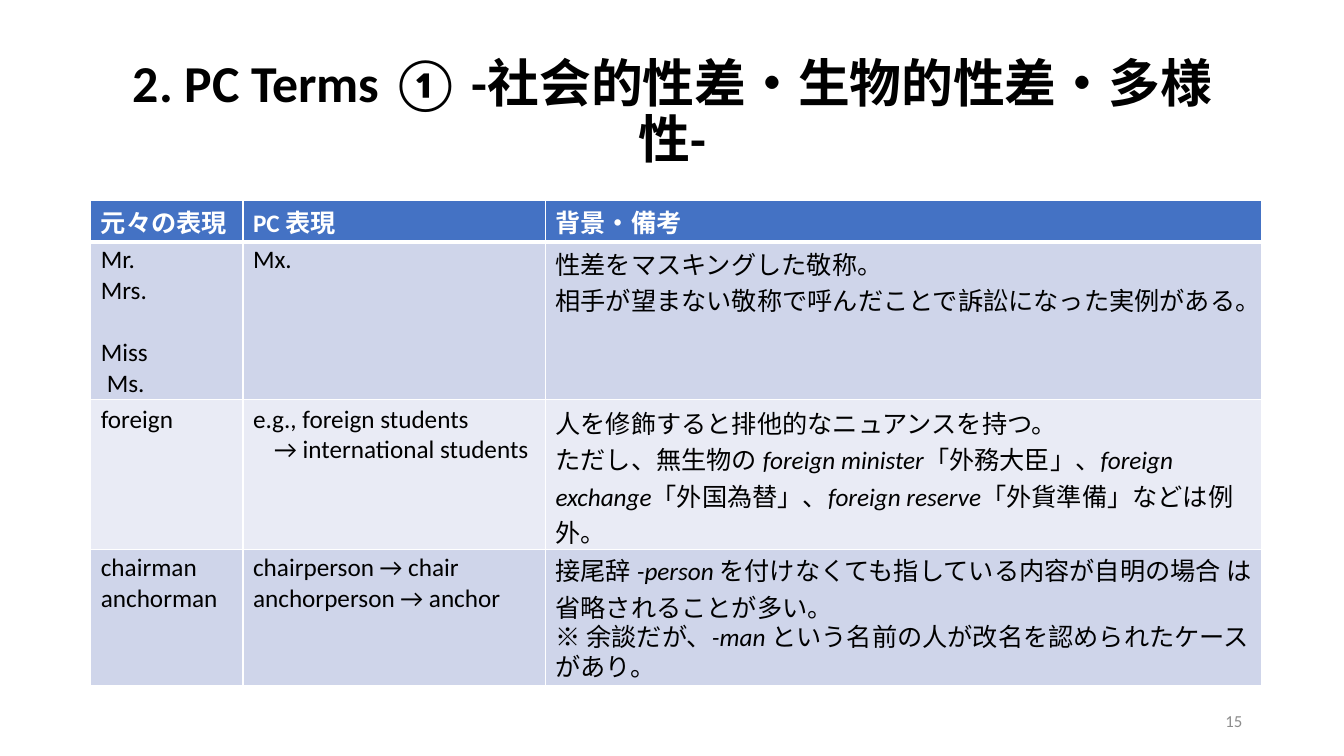
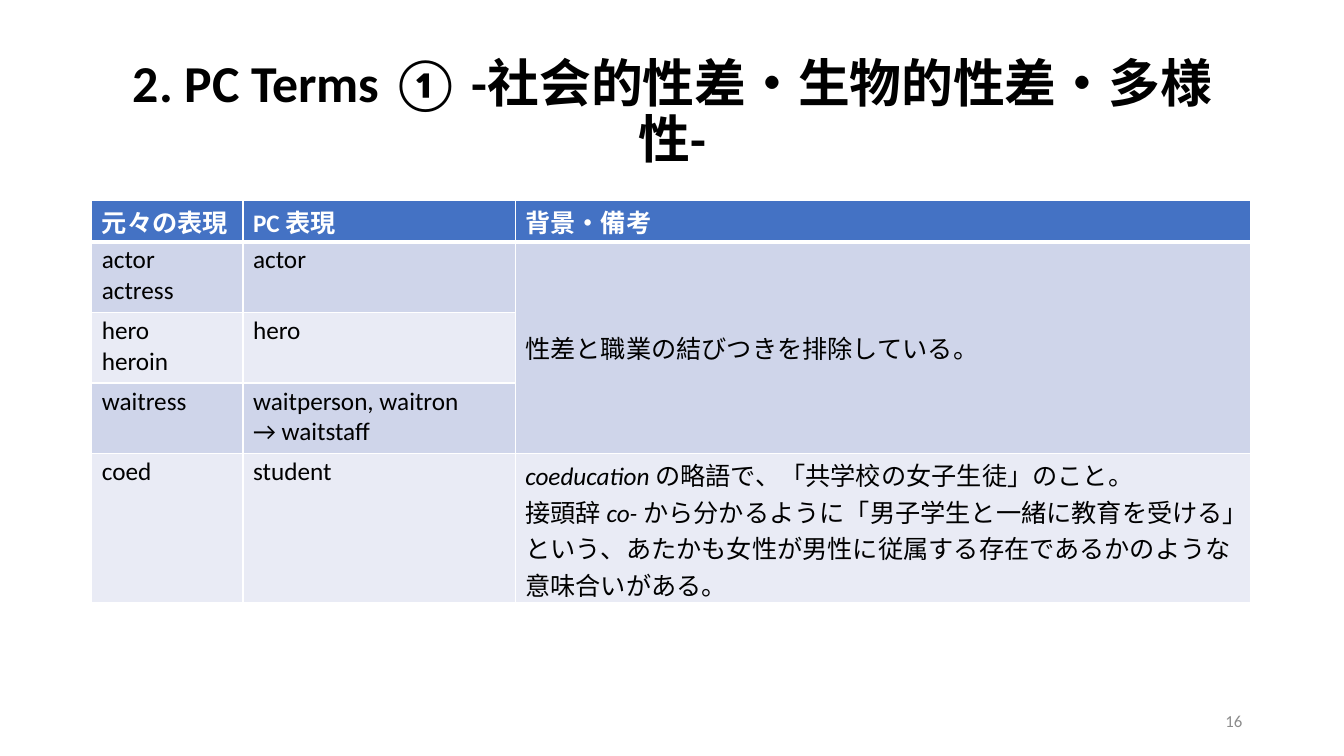
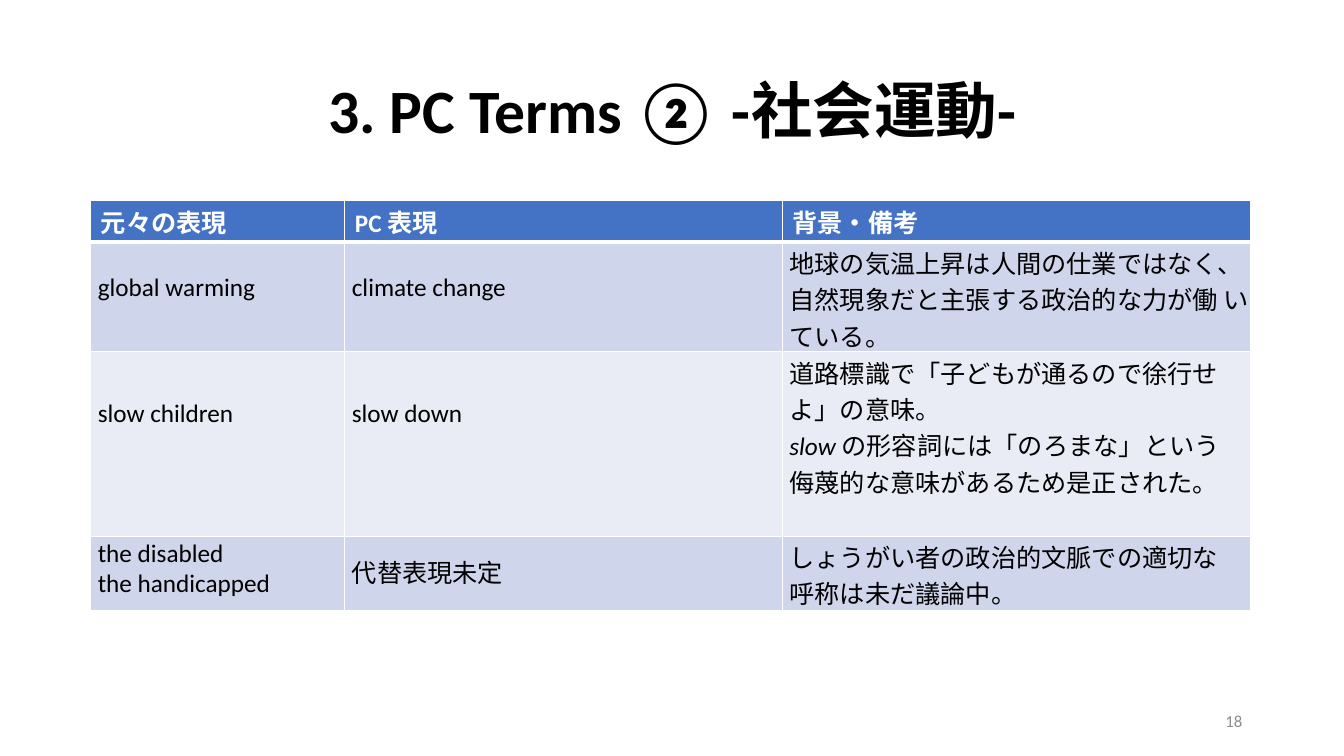
from dataclasses import dataclass
from typing import Optional

from lxml.etree import SubElement
from pptx import Presentation
from pptx.dml.color import RGBColor
from pptx.enum.text import MSO_ANCHOR, MSO_AUTO_SIZE, PP_ALIGN
from pptx.oxml.ns import qn
from pptx.util import Inches, Pt

LATIN_FONT = "Calibri"
JAPANESE_FONT = "Noto Sans CJK JP"
BLACK, WHITE, GREY = "000000", "FFFFFF", "8C8C8C"
HEADER_FILL = "4472C4"
BAND_FILLS = ("CFD5EA", "E9EBF5")
HEADER_HEIGHT = 0.41
HEADINGS = ["元々の表現", "PC 表現", "背景・備考"]
TITLE_BOX = (0.92, 0.4, 11.5, 1.45)
NUMBER_BOX = (9.42, 6.95, 3, 0.4)
TABLE_TOP = 1.99


@dataclass
class Line:
    text: str
    extra_indent: float = 0
    before: float = 0
    exact: Optional[float] = None


@dataclass
class Cell:
    lines: list
    top: float = 0.03
    rows: int = 1


def color(value):
    return RGBColor.from_string(value)


def format_paragraph(paragraph, size, text_color, bold=False):
    font = paragraph.font
    font.name = LATIN_FONT
    font.size = Pt(size)
    font.bold = bold
    font.color.rgb = color(text_color)
    properties = paragraph._p.get_or_add_pPr().find(qn("a:defRPr"))
    SubElement(properties, qn("a:ea")).set("typeface", JAPANESE_FONT)


def add_runs(paragraph, text):
    for index, part in enumerate(text.split("*")):
        if part:
            run = paragraph.add_run()
            run.text = part
            if index % 2:
                run.font.italic = True


def add_title(slide, box, text, size):
    title = slide.shapes.title
    title.left, title.top, title.width, title.height = map(Inches, box)
    frame = title.text_frame
    frame.text = text
    frame.word_wrap = True
    frame.auto_size = MSO_AUTO_SIZE.NONE
    frame.vertical_anchor = MSO_ANCHOR.MIDDLE
    paragraph = frame.paragraphs[0]
    paragraph.alignment = PP_ALIGN.CENTER
    paragraph.line_spacing = 0.9
    format_paragraph(paragraph, size, BLACK, True)


def add_number(slide, box, number):
    frame = slide.shapes.add_textbox(*map(Inches, box)).text_frame
    frame.word_wrap = True
    frame.vertical_anchor = MSO_ANCHOR.MIDDLE
    paragraph = frame.paragraphs[0]
    paragraph.text = str(number)
    paragraph.alignment = PP_ALIGN.RIGHT
    format_paragraph(paragraph, 12, GREY)


def style_cell(cell, row):
    properties = cell._tc.get_or_add_tcPr()
    widths = {"L": 1, "R": 1, "T": 3 if row == 1 else 1, "B": 3 if row == 0 else 1}
    for side, width in widths.items():
        line = SubElement(properties, qn(f"a:ln{side}"), w=str(Pt(width)))
        fill = SubElement(line, qn("a:solidFill"))
        SubElement(fill, qn("a:srgbClr"), val=WHITE)
    cell.fill.solid()
    cell.fill.fore_color.rgb = color(BAND_FILLS[(row - 1) % 2] if row else HEADER_FILL)
    cell.margin_left = cell.margin_right = cell.margin_bottom = 0


def fill_cell(cell, content, indent, text_color, bold=False):
    cell.margin_top = Inches(content.top)
    frame = cell.text_frame
    for index, line in enumerate(content.lines):
        line = Line(line) if isinstance(line, str) else line
        paragraph = frame.add_paragraph() if index else frame.paragraphs[0]
        properties = paragraph._p.get_or_add_pPr()
        properties.set("marL", str(Inches(indent + line.extra_indent)))
        properties.set("indent", "0")
        if line.before:
            paragraph.space_before = Pt(line.before)
        if line.exact:
            paragraph.line_spacing = Pt(line.exact)
        add_runs(paragraph, line.text)
        format_paragraph(paragraph, 18, text_color, bold)


def add_term_table(slide, left, top, widths, heights, body, indent):
    heights = [HEADER_HEIGHT] + heights
    table = slide.shapes.add_table(
        len(heights), len(widths), Inches(left), Inches(top),
        Inches(sum(widths)), Inches(sum(heights))).table
    table.horz_banding = False
    for column, width in zip(table.columns, widths):
        column.width = Inches(width)
    for row, height in enumerate(heights):
        table.rows[row].height = Inches(height)
        for column in range(len(widths)):
            style_cell(table.cell(row, column), row)
    for column, heading in enumerate(HEADINGS):
        fill_cell(table.cell(0, column), Cell([heading]), 0.1, WHITE, True)
    for row, contents in enumerate(body, 1):
        for column, content in enumerate(contents):
            cell = table.cell(row, column)
            if content.rows > 1:
                cell.merge(table.cell(row + content.rows - 1, column))
                cell.vertical_anchor = MSO_ANCHOR.MIDDLE
            fill_cell(cell, content, indent, BLACK)


def add_term_slide(presentation, title, title_size, number, left, widths, heights, body, indent=0.1):
    slide = presentation.slides.add_slide(presentation.slide_layouts[5])
    add_title(slide, TITLE_BOX, title, title_size)
    add_number(slide, NUMBER_BOX, number)
    add_term_table(slide, left, TABLE_TOP, widths, heights, body, indent)


GENDER_TITLE = "2. PC Terms ① -社会的性差・生物的性差・多様性-"
MOVEMENT_TITLE = "3. PC Terms ② -社会運動-"

TITLES_AND_SUFFIXES = [
    [Cell(["Mr.", "Mrs.", Line("Miss", before=22), Line("Ms.", extra_indent=0.06)]),
     Cell(["Mx."]),
     Cell(["性差をマスキングした敬称。",
           "相手が望まない敬称で呼んだことで訴訟になった実例がある。"])],
    [Cell(["foreign"], 0.05),
     Cell(["e.g., foreign students",
           Line("→ international students", extra_indent=0.21)], 0.05),
     Cell(["人を修飾すると排他的なニュアンスを持つ。",
           "ただし、無生物の *foreign minister*「外務大臣」、*foreign exchange*"
           "「外国為替」、*foreign reserve*「外貨準備」などは例 外。"], 0.05)],
    [Cell(["chairman", "anchorman"]),
     Cell(["chairperson → chair", "anchorperson → anchor"]),
     Cell(["接尾辞 *-person *を付けなくても指している内容が自明の場合 は省略されることが多い。",
           Line("※ 余談だが、*-man *という名前の人が改名を認められたケースがあり。",
                exact=21.4)], 0.02)],
]

OCCUPATIONS = [
    [Cell(["actor", "actress"]), Cell(["actor"]),
     Cell(["性差と職業の結びつきを排除している。"], 0, 3)],
    [Cell(["hero", "heroin"]), Cell(["hero"])],
    [Cell(["waitress"]), Cell(["waitperson, waitron", "→ waitstaff"])],
    [Cell(["coed"]), Cell(["student"]),
     Cell(["*coeducation *の略語で、「共学校の女子生徒」のこと。",
           "接頭辞 *co- *から分かるように「男子学生と一緒に教育を受ける」という、"
           "あたかも女性が男性に従属する存在であるかのような意味合いがある。"])],
]

MOVEMENTS = [
    [Cell(["global warming"], 0.3), Cell(["climate change"], 0.3),
     Cell(["地球の気温上昇は人間の仕業ではなく、 自然現象だと主張する政治的な力が働 いている。"], 0.02)],
    [Cell(["slow children"], 0.46), Cell(["slow down"], 0.46),
     Cell(["道路標識で「子どもが通るので徐行せよ」の意味。",
           "*slow *の形容詞には「のろまな」という 侮蔑的な意味があるため是正された。"], 0.02)],
    [Cell(["the disabled", "the handicapped"], 0.02), Cell(["代替表現未定"], 0.17),
     Cell(["しょうがい者の政治的文脈での適切な", "呼称は未だ議論中。"], 0.02)],
]


def main():
    presentation = Presentation()
    presentation.slide_width = Inches(13.33)
    presentation.slide_height = Inches(7.5)
    add_term_slide(presentation, GENDER_TITLE, 37, 15, 0.9,
                   [1.51, 3, 7.1], [1.56, 1.49, 1.35], TITLES_AND_SUFFIXES)
    add_term_slide(presentation, GENDER_TITLE, 37, 16, 0.91,
                   [1.5, 2.7, 7.29], [0.7, 0.7, 0.7, 1.48], OCCUPATIONS)
    add_term_slide(presentation, MOVEMENT_TITLE, 44, 18, 0.9,
                   [2.52, 4.34, 4.64], [1.09, 1.83, 0.74], MOVEMENTS, 0.07)
    presentation.save("out.pptx")


if __name__ == "__main__":
    main()
